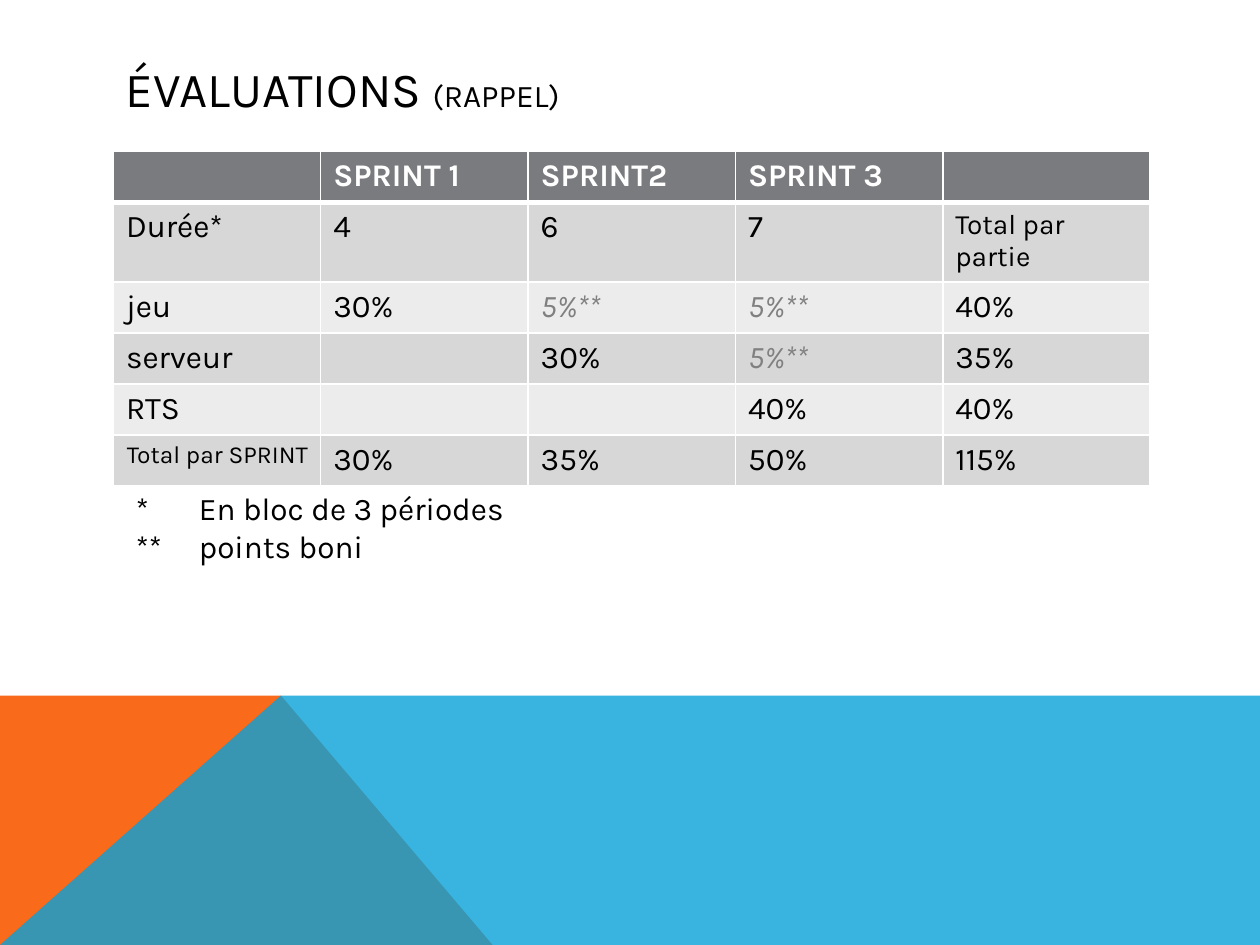
import pptx
import pptx.dml.color
import pptx.enum.text
import pptx.oxml
import pptx.oxml.ns
import pptx.util
from pptx.util import Inches

FONT = "Karla"
BLACK, WHITE, GREY = "000000", "FFFFFF", "808080"
HEADER_FILL, ROW_FILLS = "797B7E", ("D7D7D8", "ECECEC")
ORANGE, BLUE = "F96A1B", "08A1D9"
HORIZON, BOTTOM, PEAK = 5.52, 7.5, 2.23

ROWS = [
    ["", "SPRINT 1", "SPRINT2", "SPRINT 3", ""],
    ["Durée*", "4", "6", "7", "Total par partie"],
    ["jeu", "30%", "5%**", "5%**", "40%"],
    ["serveur", "", "30%", "5%**", "35%"],
    ["RTS", "", "", "40%", "40%"],
    ["Total par SPRINT", "30%", "35%", "50%", "115%"],
]
SMALL_LABELS = {"Total par partie": 16, "Total par SPRINT": 14}


def rgb(value):
    return pptx.dml.color.RGBColor.from_string(value)


def format_run(run, size, color=BLACK, bold=False, italic=False):
    run.font.name = FONT
    run.font.size = pptx.util.Pt(size)
    run.font.color.rgb = rgb(color)
    run.font.bold = bold
    run.font.italic = italic


def add_polygon(slide, points, color, opacity=100):
    corners = [(Inches(x), Inches(y)) for x, y in points]
    builder = slide.shapes.build_freeform(*corners[0])
    builder.add_line_segments(corners[1:], close=True)
    shape = builder.convert_to_shape()
    shape.shadow.inherit = False
    shape.line.fill.background()
    shape.fill.solid()
    shape.fill.fore_color.rgb = rgb(color)
    if opacity < 100:
        color_element = shape._element.spPr.find(".//" + pptx.oxml.ns.qn("a:srgbClr"))
        alpha = pptx.oxml.parse_xml(
            f'<a:alpha {pptx.oxml.ns.nsdecls("a")} val="{opacity * 1000}"/>')
        color_element.append(alpha)


def add_text(slide, left, top, width, height):
    box = slide.shapes.add_textbox(
        Inches(left), Inches(top), Inches(width), Inches(height))
    box.text_frame.word_wrap = True
    return box.text_frame


def set_borders(cell, bottom_width):
    # Borders come before the fill in the cell properties
    properties = cell._tc.get_or_add_tcPr()
    widths = {"lnL": 1, "lnR": 1, "lnT": 1, "lnB": bottom_width}
    for index, (side, width) in enumerate(widths.items()):
        border = pptx.oxml.parse_xml(
            f'<a:{side} {pptx.oxml.ns.nsdecls("a")} w="{pptx.util.Pt(width)}">'
            f'<a:solidFill><a:srgbClr val="{WHITE}"/></a:solidFill></a:{side}>')
        properties.insert(index, border)


def fill_cell(cell, text, row_index):
    is_header = row_index == 0
    cell.fill.solid()
    cell.fill.fore_color.rgb = rgb(
        HEADER_FILL if is_header else ROW_FILLS[(row_index - 1) % 2])
    set_borders(cell, 3 if is_header else 1)
    if not text:
        return
    cell.text_frame.text = text
    paragraph = cell.text_frame.paragraphs[0]
    is_bonus = text.endswith("%**")
    color = WHITE if is_header else GREY if is_bonus else BLACK
    format_run(paragraph.runs[0], SMALL_LABELS.get(text, 18), color, is_header, is_bonus)
    if text == "Total par SPRINT":
        paragraph.alignment = pptx.enum.text.PP_ALIGN.RIGHT


def add_grades_table(slide):
    table = slide.shapes.add_table(
        len(ROWS), len(ROWS[0]),
        Inches(0.9), Inches(1.2), Inches(8.23), Inches(2.43)).table
    for row_index, row in enumerate(ROWS):
        for column_index, text in enumerate(row):
            fill_cell(table.cell(row_index, column_index), text, row_index)


def add_title(slide):
    frame = add_text(slide, 0.9, 0.4, 8.22, 0.6)
    frame.vertical_anchor = pptx.enum.text.MSO_ANCHOR.MIDDLE
    paragraph = frame.paragraphs[0]
    for text, size in (("ÉVALUATIONS ", 28), ("(RAPPEL)", 18)):
        run = paragraph.add_run()
        run.text = text
        format_run(run, size)


def add_footnotes(slide):
    frame = add_text(slide, 0.98, 3.83, 8.11, 0.71)
    frame.text = "* \tEn bloc de 3 périodes\n**\tpoints boni"
    for paragraph in frame.paragraphs:
        format_run(paragraph.runs[0], 18)


def main():
    presentation = pptx.Presentation()
    presentation.slide_width = Inches(10)
    presentation.slide_height = Inches(7.5)
    slide = presentation.slides.add_slide(presentation.slide_layouts[6])

    # Bottom decoration
    add_polygon(slide, [(0, BOTTOM), (0, HORIZON), (PEAK, HORIZON), (3.91, BOTTOM)], ORANGE)
    add_polygon(slide, [(0, BOTTOM), (PEAK, HORIZON), (10, HORIZON), (10, BOTTOM)], BLUE, 80)

    # Content
    add_title(slide)
    add_grades_table(slide)
    add_footnotes(slide)

    presentation.save("out.pptx")


main()
